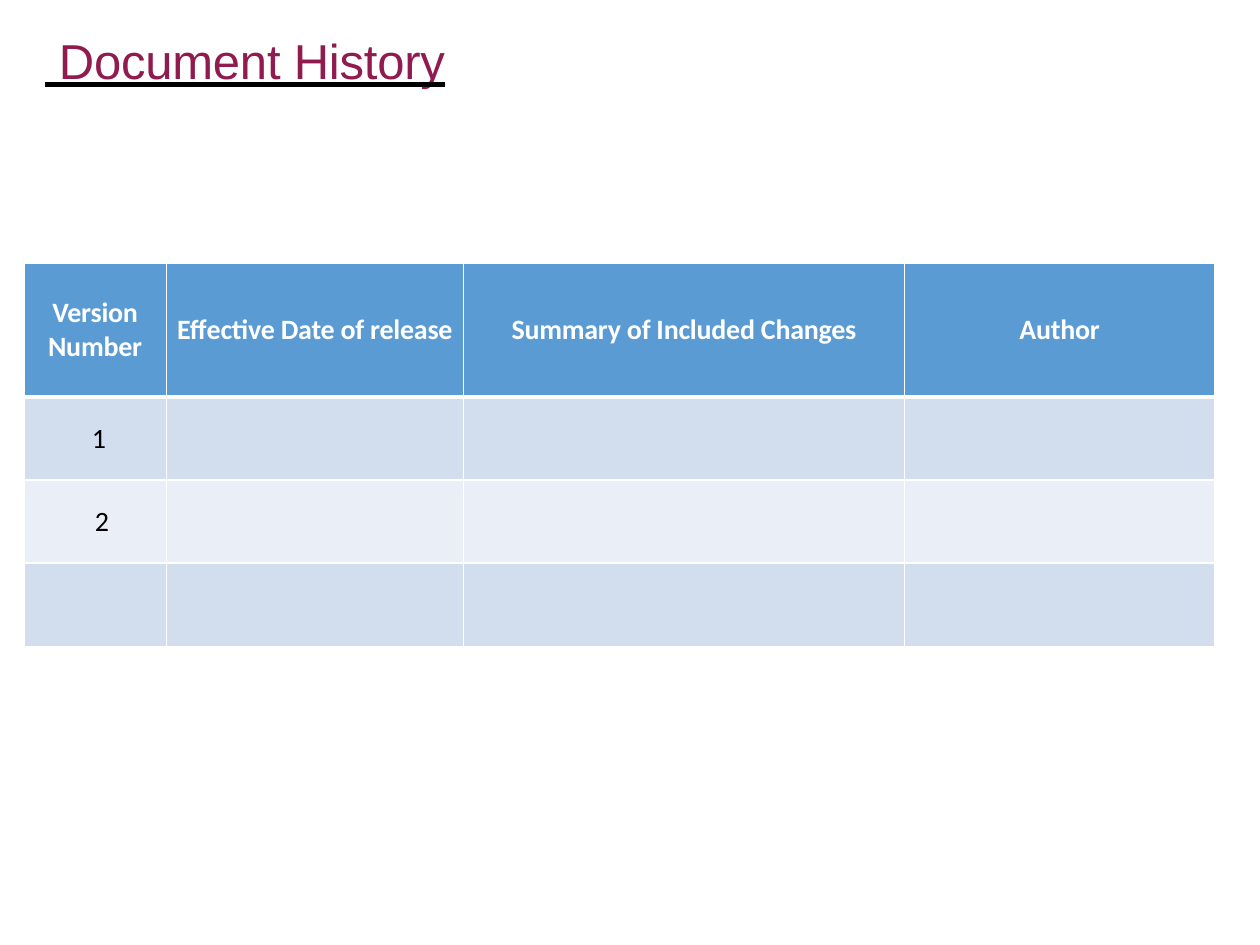
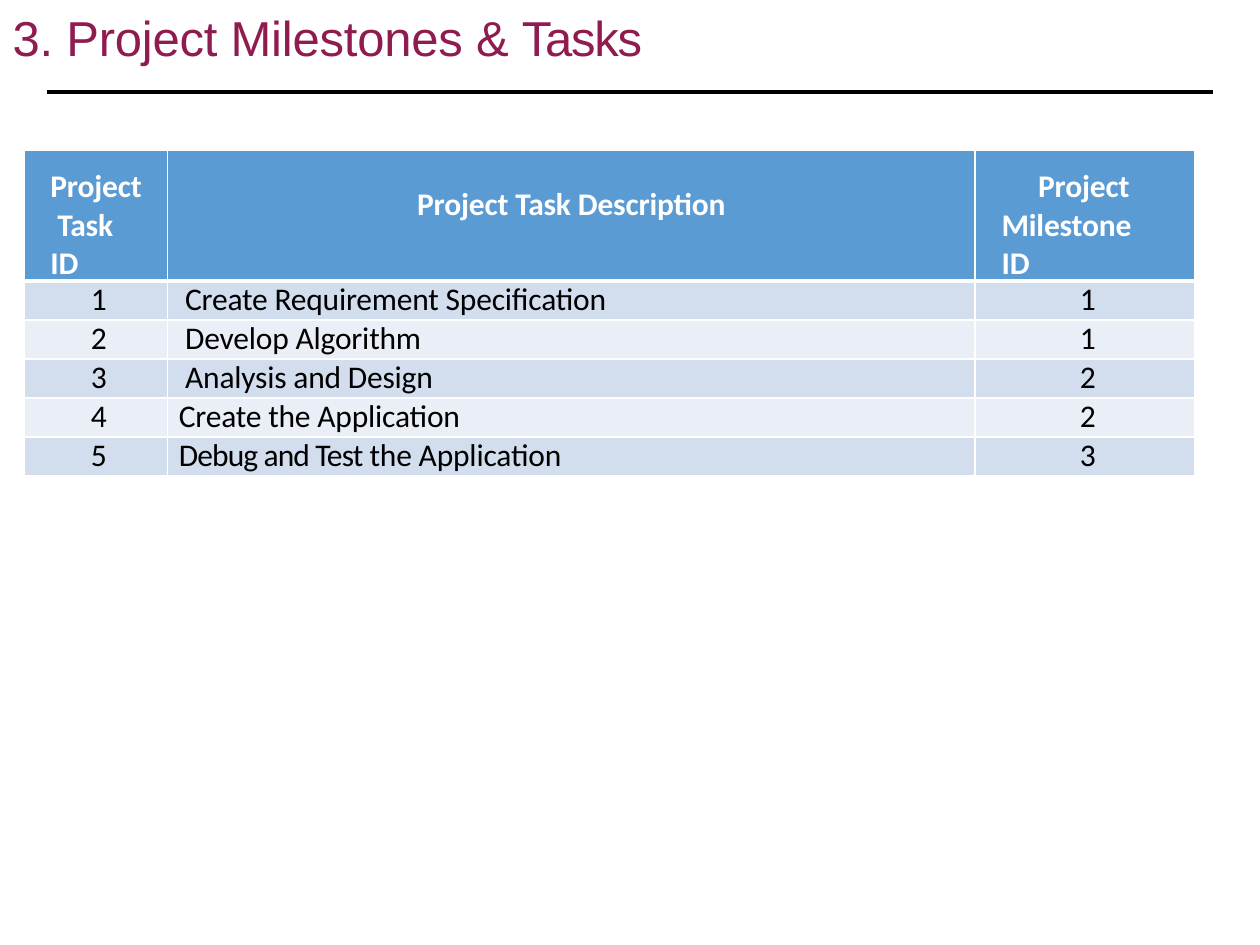
from lxml.etree import SubElement
from pptx import Presentation
from pptx.dml.color import RGBColor
from pptx.enum.shapes import MSO_CONNECTOR
from pptx.enum.text import MSO_ANCHOR, PP_ALIGN
from pptx.oxml.ns import qn
from pptx.util import Inches, Pt

BLACK, WHITE, MAROON = "000000", "FFFFFF", "8F1B4F"
HEADER_BLUE, BANDS = "5B9BD4", ("D2DEEE", "EAEEF7")
TITLE_FONT = {"name": "Arial", "size": Pt(28), "bold": False}
HEADER_FONT = {"name": "Calibri", "bold": True}
BODY_FONT = {"name": "Calibri", "bold": False}
NO_MARGINS = dict.fromkeys(("margin_left", "margin_top", "margin_right", "margin_bottom"), 0)


def color(value):
    return RGBColor.from_string(value)


def write(paragraph, runs, font, text_color):
    for text, spacing in runs:
        first = len(paragraph.runs)
        for number, line in enumerate(text.split("\v")):
            if number:
                paragraph.add_line_break()
            paragraph.add_run().text = line
        for run in paragraph.runs[first:]:
            for name, value in font.items():
                setattr(run.font, name, value)
            run.font.color.rgb = color(text_color)
            run._r.get_or_add_rPr().set("spc", str(round(spacing * 100)))


history = {
    "title": [(" ", -1.5), ("Document History", -0.1)],
    "title_box": (0.35, 0.23, 9.29, 0.49),
    "table_box": (0.19, 2.09),
    "columns": (1.13, 2.36, 3.5, 2.46),
    "row_heights": (1.06, 0.66),
    "size": Pt(16),
    "rows": [
        ["Version Number", "Effective Date of release", "Summary of Included Changes", "Author"],
        ["1", "", "", ""],
        ["2", "", "", ""],
        ["", "", "", ""],
    ],
    "header_margins": [(0, 0)] * 4,
    "header_anchor": MSO_ANCHOR.MIDDLE,
    "left_aligned": (),
    "body_margins": {(1, 0): 0.06, (2, 0): 0.11},
    "line_spacing": None,
}
milestones = {
    "title": [("3. Project Milestones & ", -0.1), ("Tasks", -0.7)],
    "title_box": (0.09, 0.05, 5.1, 0.49),
    "table_box": (0.19, 1.19),
    "columns": (1.14, 6.41, 1.74),
    "row_heights": (0.91, 0.31),
    "size": Pt(18),
    "rows": [
        ["Project\v Task\vID", "Project Task Description", "Project\vMilestone\vID"],
        ["1", "Create Requirement Specification", "1"],
        ["2", "Develop Algorithm", "1"],
        ["3", "Analysis and Design", "2"],
        ["4", "Create the Application", "2"],
        ["5", [("Debug and Test ", -0.5), ("the Application", -0.1)], "3"],
    ],
    "header_margins": [(0.21, 0.14), (0, 0.28), (0.21, 0.14)],
    "header_anchor": MSO_ANCHOR.TOP,
    "left_aligned": {(0, 0), (0, 2)} | {(row, 1) for row in range(1, 6)},
    "body_margins": {(row, column): (0.05, 0.14 if row < 4 else 0.09, 0.05)[column]
                     for row in range(1, 6) for column in range(3)},
    "line_spacing": Pt(21.1),
}

presentation = Presentation()
presentation.slide_width = Inches(10)
presentation.slide_height = Inches(7.5)
tables = []

for content in (history, milestones):
    slide = presentation.slides.add_slide(presentation.slide_layouts[6])
    slide.background.fill.solid()
    slide.background.fill.fore_color.rgb = color(WHITE)

    if content is milestones:
        rule = slide.shapes.add_connector(
            MSO_CONNECTOR.STRAIGHT, Inches(0.37), Inches(0.73), Inches(9.63), Inches(0.73))
        rule.line.color.rgb = color(BLACK)
        rule.line.width = Pt(2)
        SubElement(rule._element.spPr, qn("a:effectLst"))

    title = slide.shapes.add_textbox(*map(Inches, content["title_box"])).text_frame
    title.word_wrap = True
    for name, value in {**NO_MARGINS, "margin_left": Inches(0.01), "margin_top": Inches(0.01)}.items():
        setattr(title, name, value)
    write(title.paragraphs[0], content["title"], TITLE_FONT, MAROON)
    if content is history:
        for run in title.paragraphs[0].runs:
            properties = run._r.get_or_add_rPr()
            properties.set("u", "heavy")
            underline = properties.makeelement(qn("a:uFill"), {})
            properties.find(qn("a:solidFill")).addnext(underline)
            solid = SubElement(underline, qn("a:solidFill"))
            SubElement(solid, qn("a:srgbClr"), val=BLACK)

    rows, columns = content["rows"], content["columns"]
    header_height, body_height = content["row_heights"]
    height = header_height + body_height * (len(rows) - 1)
    table = slide.shapes.add_table(
        len(rows), len(columns), *map(Inches, (*content["table_box"], sum(columns), height))).table
    table.horz_banding = False
    for column, width in enumerate(columns):
        table.columns[column].width = Inches(width)

    for row, values in enumerate(rows):
        table.rows[row].height = Inches(body_height if row else header_height)
        for column, value in enumerate(values):
            cell = table.cell(row, column)
            left, top = (content["body_margins"].get((row, column), 0), 0) if row \
                else content["header_margins"][column]
            cell_format = {
                **NO_MARGINS,
                "margin_left": Inches(left),
                "margin_top": Inches(top),
                "vertical_anchor": MSO_ANCHOR.MIDDLE if row else content["header_anchor"],
            }
            for name, setting in cell_format.items():
                setattr(cell, name, setting)

            thick_side = {0: "lnB", 1: "lnT"}.get(row)
            for side in ("lnL", "lnR", "lnT", "lnB"):
                border = SubElement(cell._tc.get_or_add_tcPr(), qn("a:" + side),
                                    w=str(Pt(3 if side == thick_side else 1)))
                solid = SubElement(border, qn("a:solidFill"))
                SubElement(solid, qn("a:srgbClr"), val=WHITE)
            cell.fill.solid()
            cell.fill.fore_color.rgb = color(BANDS[(row - 1) % 2] if row else HEADER_BLUE)

            if value:
                paragraph = cell.text_frame.paragraphs[0]
                is_left = (row, column) in content["left_aligned"]
                paragraph.alignment = PP_ALIGN.LEFT if is_left else PP_ALIGN.CENTER
                if row:
                    paragraph.line_spacing = content["line_spacing"]
                runs = [(value, -0.1)] if isinstance(value, str) else value
                font = {**(BODY_FONT if row else HEADER_FONT), "size": content["size"]}
                write(paragraph, runs, font, BLACK if row else WHITE)
    tables.append(table)

milestone_header = tables[1].cell(0, 2).text_frame.paragraphs[0]
milestone_header._p.get_or_add_pPr().set("indent", str(Inches(0.29)))

presentation.save("out.pptx")
